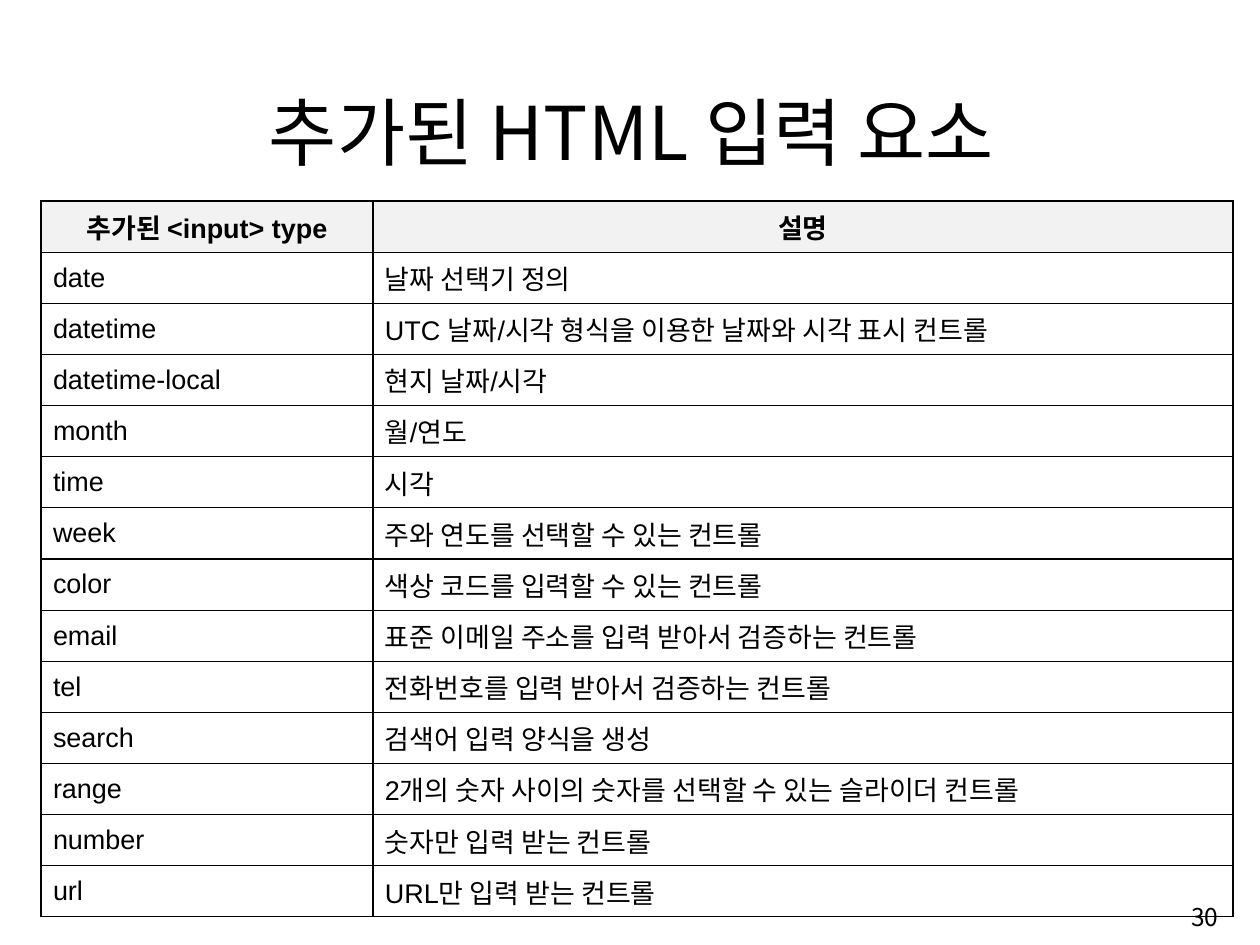
import pptx
import pptx.util
import pptx.dml.color
import pptx.enum.text
import pptx.oxml
import pptx.oxml.ns
import lxml.etree

SCALE = 914400 / 97  # EMU per px
KOREAN = "Noto Sans CJK KR"
ALIGN = pptx.enum.text.PP_ALIGN
ANCHOR = pptx.enum.text.MSO_ANCHOR
qn = pptx.oxml.ns.qn


def px(size):
    return pptx.util.Emu(round(size * SCALE))


def write(frame, text, align, look, color="000000"):
    para = frame.paragraphs[0]
    para.alignment = align
    run = para.add_run()
    run.text = text
    for key, value in look.items():
        setattr(run.font, key, value)
    run.font.color.rgb = pptx.dml.color.RGBColor.from_string(color)
    # Korean letters take the East Asian font
    font = lxml.etree.SubElement(run.font._element, qn("a:ea"))
    font.set("typeface", KOREAN)


deck = pptx.Presentation()
deck.slide_width, deck.slide_height = px(1260), px(945)
slide = deck.slides.add_slide(deck.slide_layouts[5])

# Title
title = slide.shapes.title
place = {"left": 117, "top": 76, "width": 1029, "height": 105}
for key, value in place.items():
    setattr(title, key, px(value))
frame = title.text_frame
pad = {"margin_left": px(12), "margin_right": px(12),
       "margin_top": px(6), "margin_bottom": px(6)}
layout = {"vertical_anchor": ANCHOR.BOTTOM, "word_wrap": True,
          "auto_size": pptx.enum.text.MSO_AUTO_SIZE.NONE}
for key, value in (pad | layout).items():
    setattr(frame, key, value)
write(frame, "추가된 HTML 입력 요소", ALIGN.CENTER,
      {"size": pptx.util.Pt(55), "name": KOREAN})

# Table of input types
rows = [
    ("추가된 <input> type", "설명"),
    ("date", "날짜 선택기 정의"),
    ("datetime", "UTC 날짜/시각 형식을 이용한 날짜와 시각 표시 컨트롤"),
    ("datetime-local", "현지 날짜/시각"),
    ("month", "월/연도"),
    ("time", "시각"),
    ("week", "주와 연도를 선택할 수 있는 컨트롤"),
    ("color", "색상 코드를 입력할 수 있는 컨트롤"),
    ("email", "표준 이메일 주소를 입력 받아서 검증하는 컨트롤"),
    ("tel", "전화번호를 입력 받아서 검증하는 컨트롤"),
    ("search", "검색어 입력 양식을 생성"),
    ("range", "2개의 숫자 사이의 숫자를 선택할 수 있는 슬라이더 컨트롤"),
    ("number", "숫자만 입력 받는 컨트롤"),
    ("url", "URL만 입력 받는 컨트롤"),
]
table = slide.shapes.add_table(len(rows), 2, px(41), px(201),
                               px(1192), px(48 * len(rows))).table
table.first_row = table.horz_banding = False
for col, width in zip(table.columns, (332, 860)):
    col.width = px(width)

for r, row in enumerate(rows):
    head = r == 0
    for c, text in enumerate(row):
        cell = table.cell(r, c)
        for key, value in (pad | {"vertical_anchor": ANCHOR.MIDDLE}).items():
            setattr(cell, key, value)
        write(cell.text_frame, text, ALIGN.CENTER if head else ALIGN.LEFT,
              {"size": pptx.util.Pt(20), "name": "Arial", "bold": head})
        # Thin black borders
        props = cell._tc.get_or_add_tcPr()
        for side in ("lnL", "lnR", "lnT", "lnB"):
            line = lxml.etree.SubElement(props, qn("a:" + side), w="12700")
            fill = lxml.etree.SubElement(line, qn("a:solidFill"))
            lxml.etree.SubElement(fill, qn("a:srgbClr"), val="000000")
        if head:
            cell.fill.solid()
            cell.fill.fore_color.rgb = pptx.dml.color.RGBColor.from_string("F2F2F2")
        else:
            cell.fill.background()

# Slide number
box = slide.shapes.add_textbox(px(968), px(888), px(260), px(58))
box.text_frame.word_wrap = True
box.text_frame.vertical_anchor = ANCHOR.MIDDLE
write(box.text_frame, "30", ALIGN.RIGHT,
      {"size": pptx.util.Pt(18.2), "name": KOREAN})

deck.save("out.pptx")
